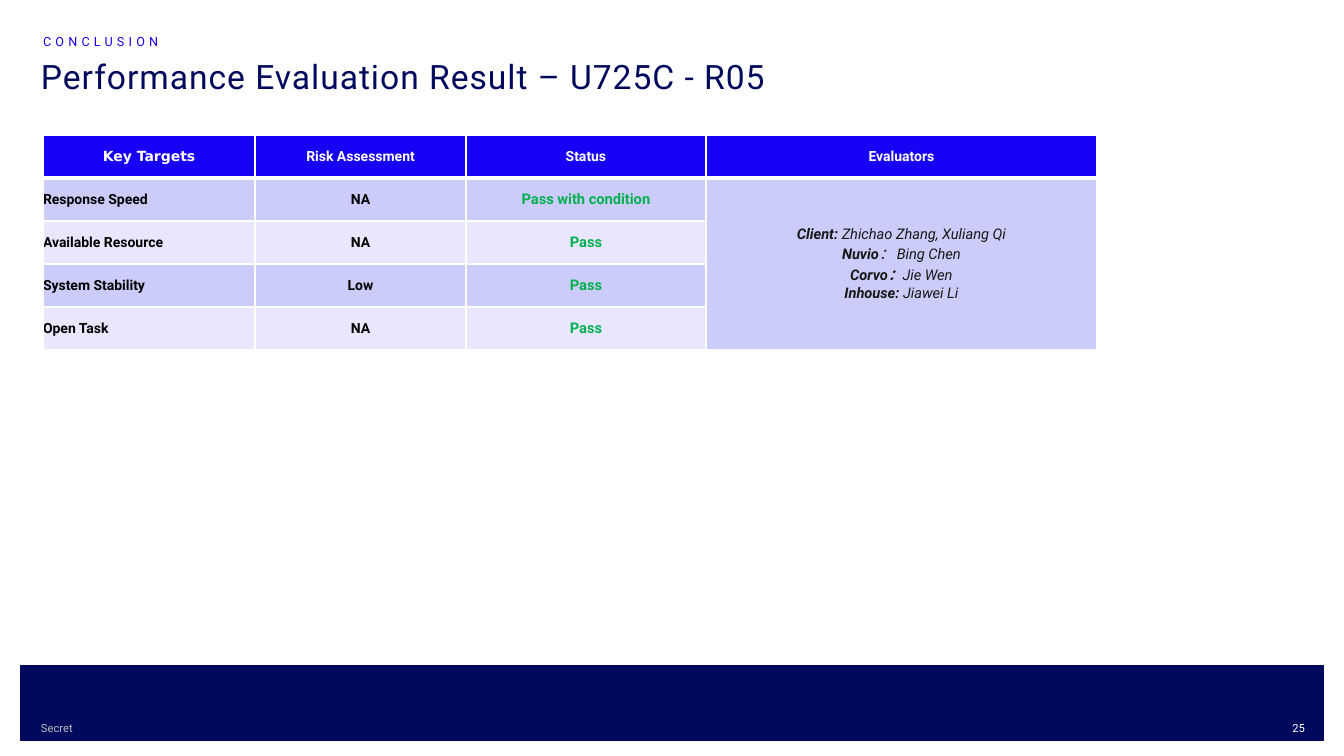
from dataclasses import dataclass

from lxml import etree
from pptx import Presentation
from pptx import util as u
from pptx.dml.color import RGBColor
from pptx.enum import shapes, text
from pptx.oxml import ns


@dataclass(frozen=True)
class Theme:
    navy: str = "00095B"
    blue: str = "1700F3"
    white: str = "FFFFFF"
    black: str = "000000"
    ink: str = "181818"
    green: str = "00B050"
    grey: str = "B9BCBD"
    bands: tuple = ("CCCCFA", "E8E7FD")
    font: str = "Roboto"
    first_header_font: str = "DejaVu Sans"
    title: float = 24
    eyebrow: float = 9
    footer: float = 8
    cell: float = 10
    status: float = 10.5


THEME = Theme()
LEFT, CENTER, RIGHT = text.PP_ALIGN.LEFT, text.PP_ALIGN.CENTER, text.PP_ALIGN.RIGHT

HEADERS = ("Key Targets", "Risk Assessment", "Status", "Evaluators")
TARGETS = (
    ("Response Speed", "NA", "Pass with condition"),
    ("Available Resource", "NA", "Pass"),
    ("System Stability", "Low", "Pass"),
    ("Open Task", "NA", "Pass"),
)
EVALUATORS = (
    ("Client: ", "Zhichao Zhang, Xuliang Qi"),
    ("Nuvio", "： Bing Chen"),
    ("Corvo：", "Jie Wen"),
    ("Inhouse: ", "Jiawei Li"),
)
COLUMN_WIDTHS = (212, 211, 240, 391)


def px(length):
    return u.Emu(round(length * 914400 / 100.8))


def style_run(run, size, color, bold=False, italic=False, font=THEME.font, spacing=0):
    run.font.name = font
    run.font.size = u.Pt(size)
    run.font.bold = bold
    run.font.italic = italic
    run.font.color.rgb = RGBColor.from_string(color)
    if spacing:
        run._r.get_or_add_rPr().set("spc", str(spacing))


def add_label(slide, box, words, size, color, align=LEFT, right_inset=10,
              wrap=True, line_spacing=1.0, spacing=0):
    frame = slide.shapes.add_textbox(*map(px, box)).text_frame
    frame.word_wrap = wrap
    frame.margin_left, frame.margin_right = 0, px(right_inset)
    frame.margin_top = frame.margin_bottom = px(5)
    frame.text = words
    line = frame.paragraphs[0]
    line.alignment = align
    line.line_spacing = line_spacing
    style_run(line.runs[0], size, color, spacing=spacing)


def add_heading(slide, box):
    left, top, width, height = box
    add_label(slide, (left, top + 24, width, height - 24),
              "Performance Evaluation Result – U725C - R05",
              THEME.title, THEME.navy, line_spacing=0.9, spacing=70)
    add_label(slide, (left + 2, top, 500, 22), "CONCLUSION",
              THEME.eyebrow, THEME.blue, line_spacing=0.9, spacing=300)


def add_footer(slide, box):
    left, top, width, height = box
    band = slide.shapes.add_shape(shapes.MSO_SHAPE.RECTANGLE, *map(px, box))
    band.shadow.inherit = False
    band.fill.solid()
    band.fill.fore_color.rgb = RGBColor.from_string(THEME.navy)
    band.line.fill.background()
    label_top = top + height - 25
    add_label(slide, (left + 21, label_top, 43, 24), "Secret",
              THEME.footer, THEME.grey, wrap=False)
    add_label(slide, (left + width - 54, label_top, 35, 24), "25",
              THEME.footer, THEME.white, align=RIGHT, right_inset=0)


def add_border(cell, side, width):
    properties = cell._tc.get_or_add_tcPr()
    line = etree.SubElement(properties, ns.qn(f"a:ln{side}"), w=str(u.Pt(width)))
    fill = etree.SubElement(line, ns.qn("a:solidFill"))
    etree.SubElement(fill, ns.qn("a:srgbClr"), val=THEME.white)


def prepare_cell(cell, fill, top=1, bottom=1):
    for side, width in (("L", 1), ("R", 1), ("T", top), ("B", bottom)):
        add_border(cell, side, width)
    cell.fill.solid()
    cell.fill.fore_color.rgb = RGBColor.from_string(fill)
    cell.vertical_anchor = text.MSO_ANCHOR.MIDDLE
    cell.margin_left = cell.margin_right = cell.margin_top = cell.margin_bottom = 0


def write_cell(cell, words, size, color, align=CENTER, font=THEME.font):
    cell.text = words
    line = cell.text_frame.paragraphs[0]
    line.alignment = align
    style_run(line.runs[0], size, color, bold=True, font=font)


def write_evaluators(cell):
    cell.text = "\n".join(team for team, _ in EVALUATORS)
    for line, (_, people) in zip(cell.text_frame.paragraphs, EVALUATORS):
        line.alignment = CENTER
        line.add_run().text = people
        for run, bold in zip(line.runs, (True, False)):
            style_run(run, THEME.status, THEME.ink, bold=bold, italic=True)


def add_results(slide, box):
    row_count = len(TARGETS) + 1
    results = slide.shapes.add_table(row_count, len(HEADERS), *map(px, box)).table
    results.horz_banding = False
    for column, width in zip(results.columns, COLUMN_WIDTHS):
        column.width = px(width)
    for row in results.rows:
        row.height = px(box[3] // row_count)

    for index, header in enumerate(HEADERS):
        cell = results.cell(0, index)
        prepare_cell(cell, THEME.blue, bottom=3)
        font = THEME.font if index else THEME.first_header_font
        write_cell(cell, header, THEME.cell, THEME.white, font=font)

    cell_styles = (
        (THEME.cell, THEME.black, LEFT),
        (THEME.cell, THEME.black, CENTER),
        (THEME.status, THEME.green, CENTER),
    )
    for number, target in enumerate(TARGETS, start=1):
        for index in range(len(HEADERS)):
            band = 0 if index == len(target) else (number - 1) % 2
            prepare_cell(results.cell(number, index), THEME.bands[band],
                         top=3 if number == 1 else 1)
        for index, (words, style) in enumerate(zip(target, cell_styles)):
            write_cell(results.cell(number, index), words, *style)

    evaluators = results.cell(1, len(HEADERS) - 1)
    evaluators.merge(results.cell(row_count - 1, len(HEADERS) - 1))
    write_evaluators(evaluators)


def main():
    deck = Presentation()
    deck.slide_width, deck.slide_height = px(1344), px(756)
    slide = deck.slides.add_slide(deck.slide_layouts[6])
    add_footer(slide, (20, 665, 1304, 76))
    add_heading(slide, (41, 31, 1159, 100))
    add_results(slide, (43, 135, sum(COLUMN_WIDTHS), 215))
    deck.save("out.pptx")


if __name__ == "__main__":
    main()
